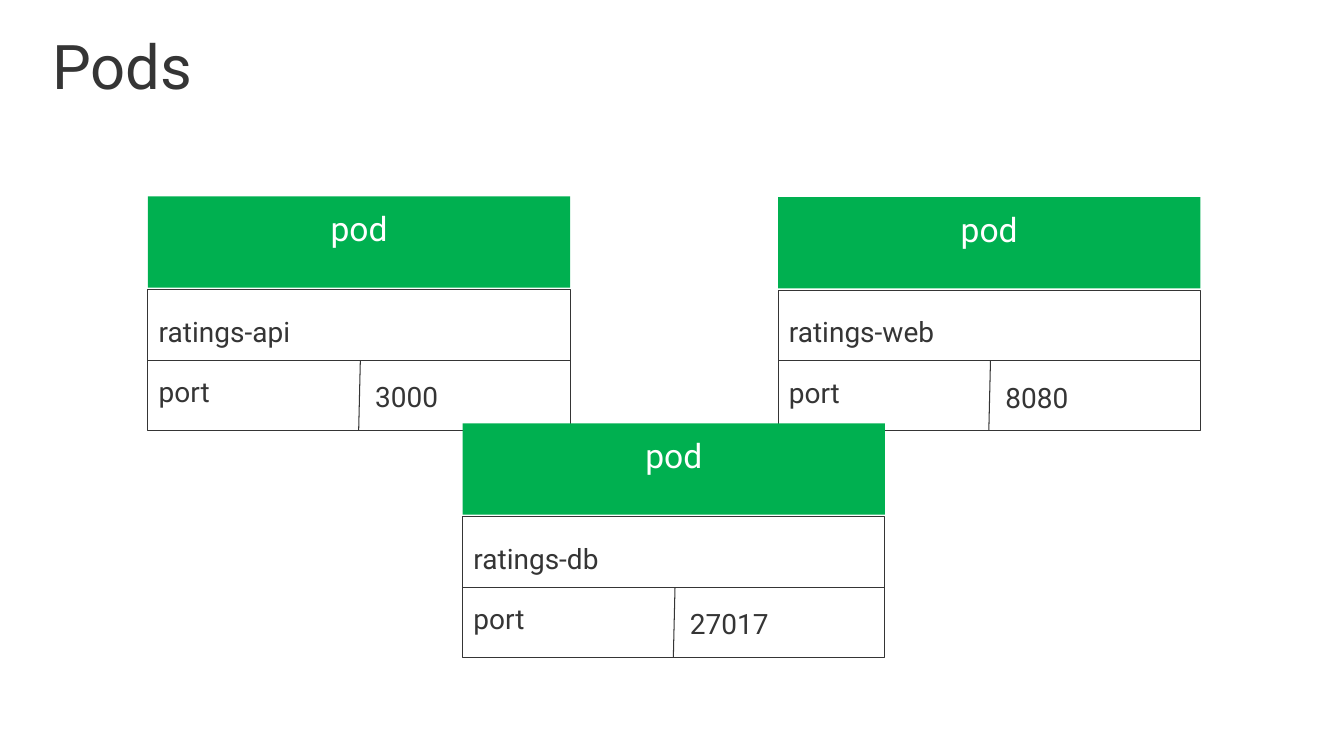
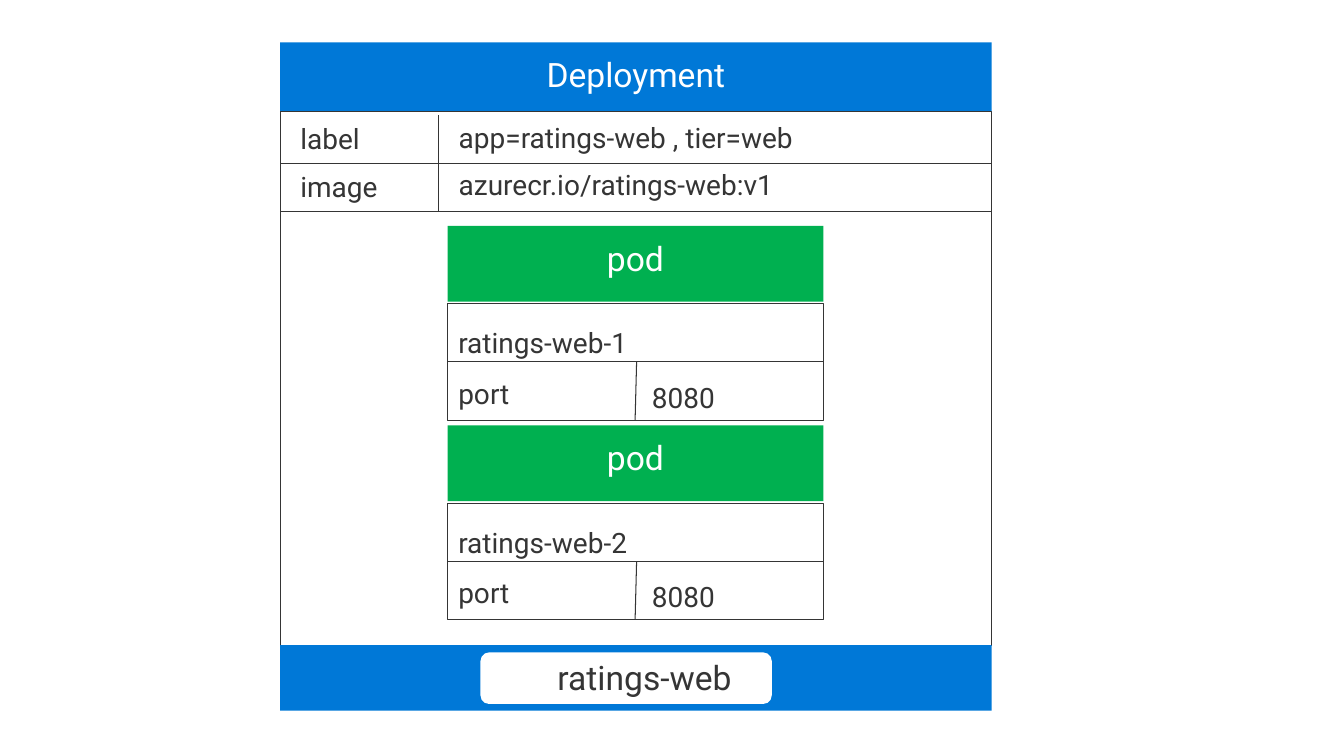
import pptx
import pptx.dml.color
import pptx.enum.shapes
import pptx.enum.text
import pptx.oxml
import pptx.oxml.ns
import pptx.util

Cm = pptx.util.Cm
Pt = pptx.util.Pt
RGBColor = pptx.dml.color.RGBColor
SHAPE = pptx.enum.shapes.MSO_SHAPE
ALIGN = pptx.enum.text.PP_ALIGN

GREEN = RGBColor(0x00, 0xB0, 0x50)
BLUE = RGBColor(0x00, 0x78, 0xD7)
DARK = RGBColor(0x35, 0x35, 0x35)
WHITE = RGBColor(0xFF, 0xFF, 0xFF)

LINE_WIDTH = Pt(0.75)
TEXT_HEIGHT = 1.6
FRAME_FORMAT = {
    "margin_left": Cm(0.51),
    "margin_right": Cm(0.51),
    "margin_top": Cm(0.41),
    "margin_bottom": Cm(0.41),
    "word_wrap": True,
    "auto_size": pptx.enum.text.MSO_AUTO_SIZE.NONE,
    "vertical_anchor": pptx.enum.text.MSO_ANCHOR.TOP,
}
NO_MARGINS = dict.fromkeys(
    ("margin_left", "margin_right", "margin_top", "margin_bottom"), 0)

LABEL_STYLE = {"size": Pt(20), "color": DARK, "alignment": ALIGN.LEFT}
BADGE_STYLE = LABEL_STYLE | {"size": Pt(24)}
HEADER_STYLE = {"size": Pt(24), "color": WHITE, "alignment": ALIGN.CENTER}
TITLE_STYLE = LABEL_STYLE | {"size": Pt(44)}

PODS = [
    ("ratings-api", "3000", 3.73, 4.95),
    ("ratings-web", "8080", 19.61, 4.97),
    ("ratings-db", "27017", 11.66, 10.67),
]
POD_SIZE = (10.64, 5.89)


def set_attributes(target, values):
    for name, value in values.items():
        setattr(target, name, value)


def write(shape, text, style, frame_format=FRAME_FORMAT):
    frame = shape.text_frame
    set_attributes(frame, frame_format)
    paragraph = frame.paragraphs[0]
    paragraph.text = text
    set_attributes(paragraph, {
        "alignment": style["alignment"], "line_spacing": 0.9, "space_before": Pt(0)})
    set_attributes(paragraph.font, {"name": "Roboto", "size": style["size"]})
    paragraph.font.color.rgb = style["color"]


def add_block(shapes, left, top, width, height, fill, outlined=False, kind=SHAPE.RECTANGLE):
    block = shapes.add_shape(kind, Cm(left), Cm(top), Cm(width), Cm(height))
    block.shadow.inherit = False
    block.fill.solid()
    block.fill.fore_color.rgb = fill
    if outlined:
        block.line.color.rgb = DARK
        block.line.width = LINE_WIDTH
    else:
        block.line.fill.background()
    return block


def add_rule(shapes, x1, y1, x2, y2):
    rule = shapes.add_connector(
        pptx.enum.shapes.MSO_CONNECTOR.STRAIGHT, Cm(x1), Cm(y1), Cm(x2), Cm(y2))
    rule.line.color.rgb = DARK
    rule.line.width = LINE_WIDTH
    properties = rule._element.spPr
    properties.append(pptx.oxml.parse_xml(
        f"<a:effectLst {pptx.oxml.ns.nsdecls('a')}/>"))


def add_label(shapes, text, left, top, width, style=LABEL_STYLE):
    box = shapes.add_textbox(Cm(left), Cm(top), Cm(width), Cm(TEXT_HEIGHT))
    write(box, text, style)


def add_pod(slide, name, port, left, top, width, height):
    """Group a header, a name row and a split port row inside the given box."""
    shapes = slide.shapes.add_group_shape().shapes

    def x(share):
        return left + share * width

    def y(share):
        return top + share * height

    header = add_block(shapes, left, top, width, 0.39 * height, GREEN)
    write(header, "pod", HEADER_STYLE)
    add_block(shapes, left, y(0.4), width, 0.6 * height, WHITE, outlined=True)
    add_rule(shapes, left, y(0.7), x(1), y(0.7))
    add_rule(shapes, x(0.503), y(0.7), x(0.499), y(1))
    label_left = left - 0.24
    add_label(shapes, name, label_left, y(0.45), 0.63 * width)
    add_label(shapes, "port", label_left, y(0.71), 0.48 * width)
    add_label(shapes, port, x(0.49), y(0.73), 0.48 * width)


def add_deployment(slide, left, top, width, height):
    """Draw the deployment frame with its label rows, two pods and footer badge."""
    shapes = slide.shapes
    header_height, footer_height = 1.75, 1.65
    second_row, rows_end, column = top + 3.05, top + 4.27, left + 3.99
    right = left + width
    body_top = top + header_height
    footer_top = top + height - footer_height

    header = add_block(shapes, left, top, width, header_height, BLUE)
    write(header, "Deployment", HEADER_STYLE)
    add_block(shapes, left, body_top, width, footer_top - body_top, WHITE, outlined=True)
    for row_end in (second_row, rows_end):
        add_rule(shapes, left, row_end, right, row_end)
    add_rule(shapes, column, body_top + 0.08, column, rows_end)

    rows = [
        ("label", body_top - 0.08, "app=ratings-web , tier=web", body_top - 0.1),
        ("image", second_row - 0.15, "azurecr.io/ratings-web:v1", second_row - 0.21),
    ]
    for key, key_top, value, value_top in rows:
        add_label(shapes, key, left, key_top, column - left)
        add_label(shapes, value, column, value_top, 11.53)

    for index in range(2):
        add_pod(slide, f"ratings-web-{index + 1}", "8080",
                left + 4.22, top + 4.62 + index * 5.03, 9.47, 4.9)

    add_block(shapes, left, footer_top, width, footer_height, BLUE)
    add_block(shapes, left + 5.05, footer_top + 0.18, 7.34, 1.3, WHITE,
              kind=SHAPE.ROUNDED_RECTANGLE)
    add_label(shapes, "ratings-web", left + 6.48, footer_top, 5.79, BADGE_STYLE)


def build_pods_slide(presentation):
    slide = presentation.slides.add_slide(presentation.slide_layouts[5])
    title = slide.shapes.title
    set_attributes(title, {
        "left": Cm(1.32), "top": Cm(0.92), "width": Cm(28.96), "height": Cm(1.7)})
    write(title, "Pods", TITLE_STYLE, FRAME_FORMAT | NO_MARGINS)
    for name, port, left, top in PODS:
        add_pod(slide, name, port, left, top, *POD_SIZE)


def build_deployment_slide(presentation):
    slide = presentation.slides.add_slide(presentation.slide_layouts[6])
    add_deployment(slide, 7.06, 1.07, 17.93, 16.84)


def main():
    presentation = pptx.Presentation()
    presentation.slide_width = Cm(33.87)
    presentation.slide_height = Cm(19.05)
    build_pods_slide(presentation)
    build_deployment_slide(presentation)
    presentation.save("out.pptx")


if __name__ == "__main__":
    main()
